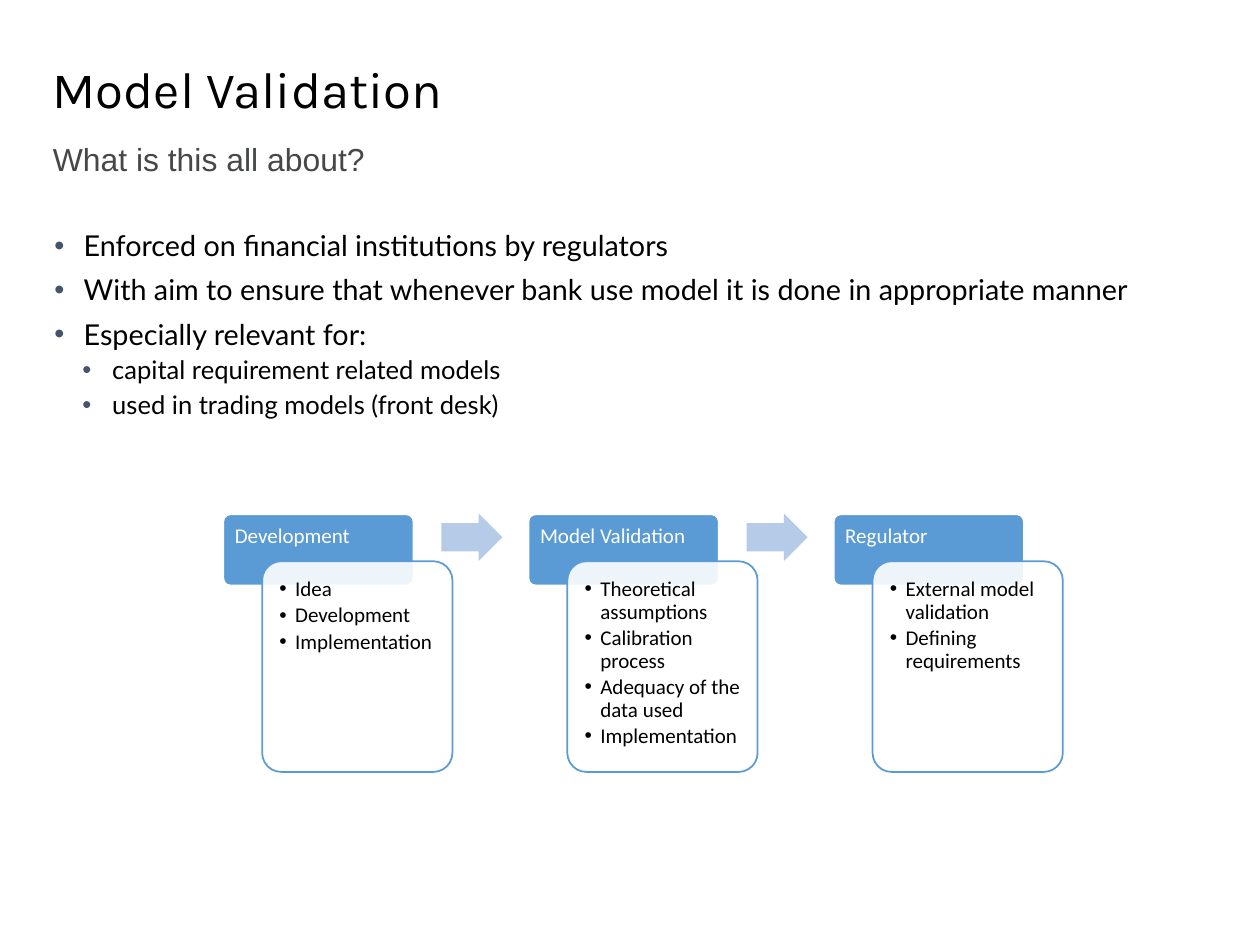
from lxml import etree
from pptx import Presentation
from pptx.dml.color import RGBColor
from pptx.enum.shapes import MSO_SHAPE
from pptx.enum.text import MSO_ANCHOR, PP_ALIGN
from pptx.oxml.ns import qn
from pptx.util import Pt

ROUNDED = MSO_SHAPE.ROUNDED_RECTANGLE
ARROW = MSO_SHAPE.RIGHT_ARROW
TOP, BOTTOM = MSO_ANCHOR.TOP, MSO_ANCHOR.BOTTOM
LEFT = PP_ALIGN.LEFT

BLACK = RGBColor(0x00, 0x00, 0x00)
WHITE = RGBColor(0xFF, 0xFF, 0xFF)
GREY = RGBColor(0x46, 0x47, 0x49)
SLATE = RGBColor(0x44, 0x54, 0x6A)
BLUE = RGBColor(0x5B, 0x9B, 0xD5)
PALE_BLUE = RGBColor(0xB5, 0xCB, 0xE7)

prs = Presentation()
prs.slide_width, prs.slide_height = Pt(720), Pt(540)
s = prs.slides.add_slide(prs.slide_layouts[6])


def add_text(tf, text, font="Lato", size=12, color=BLACK, spacing=None,
             before=0, after=0, bullet=None, left=0, hang=0, level=0):
    p = tf.paragraphs[0] if not tf.text else tf.add_paragraph()
    p.alignment = LEFT
    p.level = level
    p.line_spacing = spacing
    p.space_before, p.space_after = Pt(before), Pt(after)
    if bullet is not None:
        pPr = p._p.get_or_add_pPr()
        pPr.set("marL", str(Pt(left)))
        pPr.set("indent", str(-Pt(hang)))
        clr = etree.SubElement(pPr, qn("a:buClr"))
        etree.SubElement(clr, qn("a:srgbClr"), val=str(bullet))
        etree.SubElement(pPr, qn("a:buFont"), typeface="Arial")
        etree.SubElement(pPr, qn("a:buChar"), char="•")
    r = p.add_run()
    r.text = text
    r.font.name, r.font.size = font, Pt(size)
    r.font.color.rgb = color


def set_frame(sp, inset, anchor=TOP):
    tf = sp.text_frame
    tf.word_wrap = True
    tf.vertical_anchor = anchor
    tf.margin_left = tf.margin_right = Pt(inset)
    tf.margin_top = tf.margin_bottom = Pt(inset)
    return tf


title = s.shapes.add_textbox(Pt(30.2), Pt(0), Pt(658), Pt(67.7))
add_text(set_frame(title, 0, BOTTOM), "Model Validation", font="Karla",
         size=29.1, spacing=Pt(29.1))

body = s.shapes.add_textbox(Pt(31), Pt(132.5), Pt(658), Pt(340.5))
tf = set_frame(body, 0)
points = [
    (0, "Enforced on financial institutions by regulators"),
    (0, "With aim to ensure that whenever bank use model it is done in appropriate manner"),
    (0, "Especially relevant for:"),
    (1, "capital requirement related models"),
    (1, "used in trading models (front desk)"),
]
for i, (level, text) in enumerate(points):
    add_text(tf, text, size=(16.4, 14.6)[level], spacing=0.9,
             before=(7.5, 3.8)[level] if i else 0, bullet=SLATE,
             left=(16.8, 33.1)[level], hang=(16.8, 17)[level], level=level)

subtitle = s.shapes.add_textbox(Pt(30.2), Pt(80), Pt(658), Pt(19.5))
add_text(set_frame(subtitle, 0), "What is this all about?", font="Arial",
         size=18.2, color=GREY, after=5.5)

stages = [
    ("Development", ["Idea", "Development", "Implementation"]),
    ("Model Validation", ["Theoretical assumptions", "Calibration process",
                          "Adequacy of the data used", "Implementation"]),
    ("Regulator", ["External model validation", "Defining requirements"]),
]
for i, (name, items) in enumerate(stages):
    x = 127.6 + i * 174.4

    head = s.shapes.add_shape(ROUNDED, Pt(x), Pt(293.9), Pt(108.7), Pt(40.7))
    head.shadow.inherit = False
    head.adjustments[0] = 0.1
    head.fill.solid()
    head.fill.fore_color.rgb = BLUE
    head.line.color.rgb = WHITE
    head.line.width = Pt(1)
    add_text(set_frame(head, 5.4), name, font="Calibri", color=WHITE, spacing=0.9)

    card = s.shapes.add_shape(ROUNDED, Pt(x + 22.2), Pt(320.7), Pt(108.7), Pt(120.4))
    card.shadow.inherit = False
    card.adjustments[0] = 0.1
    card.fill.solid()
    card.fill.fore_color.rgb = WHITE
    fill_color = card.fill._xPr.find(qn("a:solidFill"))[0]
    etree.SubElement(fill_color, qn("a:alpha"), val="90000")
    card.line.color.rgb = BLUE
    card.line.width = Pt(1)
    tf = set_frame(card, 6.7)
    for item in items:
        add_text(tf, item, font="Calibri", spacing=0.9, after=2,
                 bullet=BLACK, left=9, hang=9, level=1)

    if i < len(stages) - 1:
        arrow = s.shapes.add_shape(ARROW, Pt(x + 124.6), Pt(293.5), Pt(34.9), Pt(27.1))
        arrow.shadow.inherit = False
        arrow.adjustments[0] = 0.6
        arrow.adjustments[1] = 0.5
        arrow.fill.solid()
        arrow.fill.fore_color.rgb = PALE_BLUE
        arrow.line.fill.background()

prs.save("out.pptx")
